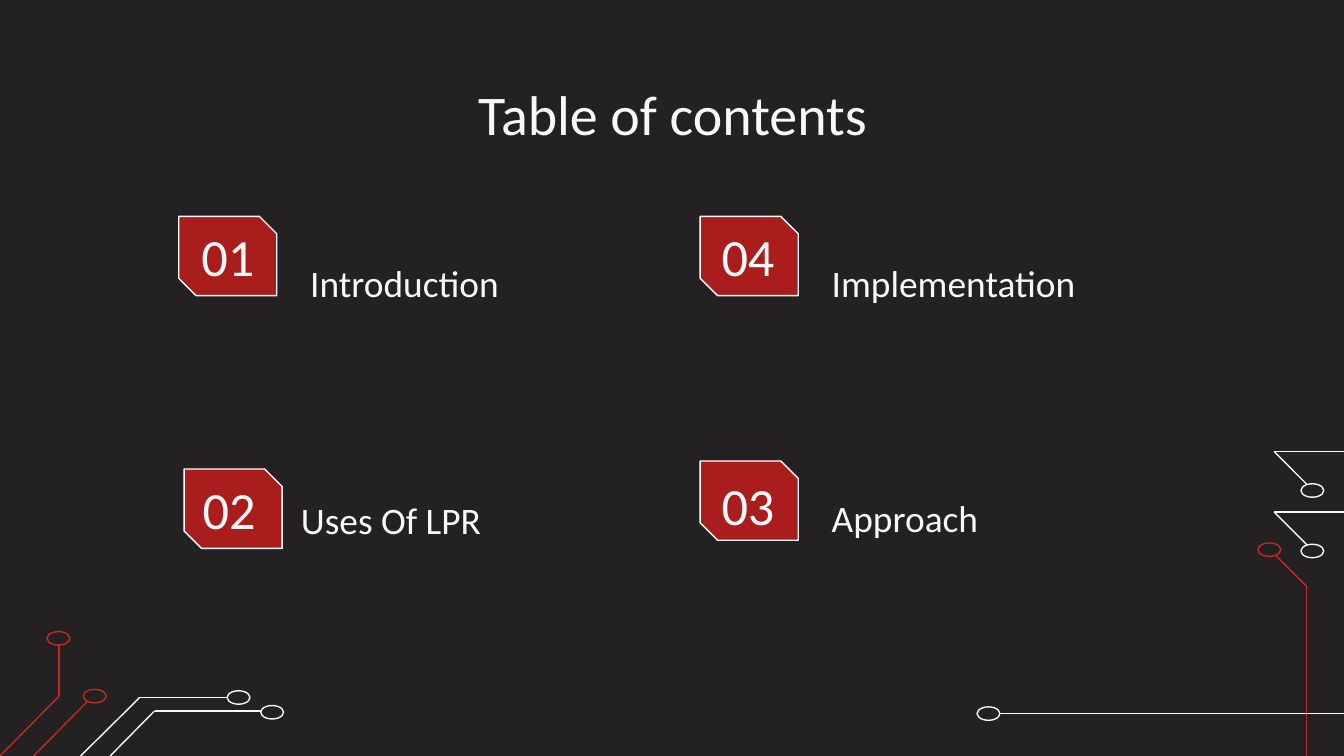
from typing import NamedTuple

from lxml.etree import SubElement
from pptx import Presentation
from pptx.dml.color import RGBColor
from pptx.enum.shapes import MSO_CONNECTOR, MSO_SHAPE
from pptx.enum.text import MSO_ANCHOR, MSO_AUTO_SIZE, PP_ALIGN
from pptx.oxml.ns import qn
from pptx.util import Inches, Pt

COLORS = {
    "background": "232121",
    "text": "F8F8F8",
    "badge": "AA1D1D",
    "outline": "FFFFFF",
    "white": "F8F8F8",
    "red": "C92727",
}
FONT = "Calibri"
SLIDE_W = 10
SLIDE_H = SLIDE_W * 9 / 16
NODE_W, NODE_H = 0.17, 0.1
BADGE_W, BADGE_H = 0.73, 0.59


class Trace(NamedTuple):
    """Circuit line through points, ending in a node at its top-left corner."""
    color: str
    points: list[tuple[float, float]]
    node: tuple[float, float]


class Entry(NamedTuple):
    """Contents entry: badge corner, number box and label corner."""
    number: str
    label: str
    badge: tuple[float, float]
    number_at: tuple[float, float]
    number_h: float
    label_at: tuple[float, float]


TRACES = [
    # Right edge
    Trace("red", [(9.72, SLIDE_H), (9.72, 4.36), (9.47, 4.11)], (9.36, 4.04)),
    Trace("white", [(SLIDE_W, 5.31), (7.44, 5.31)], (7.27, 5.26)),
    Trace("white", [(SLIDE_W, 3.81), (9.48, 3.81), (9.77, 4.1)], (9.68, 4.05)),
    Trace("white", [(SLIDE_W, 3.36), (9.48, 3.36), (9.77, 3.65)], (9.68, 3.6)),
    # Bottom left corner
    Trace("white", [(0.6, SLIDE_H), (1.04, 5.19), (1.69, 5.19)], (1.69, 5.14)),
    Trace("white", [(0.82, SLIDE_H), (1.15, 5.29), (1.94, 5.29)], (1.94, 5.25)),
    Trace("red", [(0.25, SLIDE_H), (0.69, 5.18)], (0.62, 5.13)),
    Trace("red", [(0, SLIDE_H), (0.44, 5.18), (0.44, 4.77)], (0.35, 4.7)),
]

ENTRIES = [
    Entry("01", "Introduction", (1.33, 1.61), (1.4, 1.67), 0.47, (2.21, 1.55)),
    Entry("02", "Uses Of LPR", (1.37, 3.49), (1.41, 3.52), 0.53, (2.14, 3.31)),
    Entry("03", "Approach", (5.21, 3.43), (5.27, 3.52), 0.47, (6.09, 3.3)),
    Entry("04", "Implementation", (5.21, 1.61), (5.27, 1.67), 0.47, (6.09, 1.55)),
]


def rgb(name: str) -> RGBColor:
    return RGBColor.from_string(COLORS[name])


def add_outlined(s, kind, x: float, y: float, w: float, h: float,
                 fill: str, line: str):
    sp = s.shapes.add_shape(kind, Inches(x), Inches(y), Inches(w), Inches(h))
    sp.shadow.inherit = False
    sp.fill.solid()
    sp.fill.fore_color.rgb = rgb(fill)
    sp.line.color.rgb = rgb(line)
    sp.line.width = Pt(0.75)
    return sp


def add_trace(s, trace: Trace) -> None:
    for (x1, y1), (x2, y2) in zip(trace.points, trace.points[1:]):
        line = s.shapes.add_connector(MSO_CONNECTOR.STRAIGHT, Inches(x1),
                                      Inches(y1), Inches(x2), Inches(y2))
        line.line.color.rgb = rgb(trace.color)
        line.line.width = Pt(0.75)
        SubElement(line._element.spPr, qn("a:effectLst"))
    add_outlined(s, MSO_SHAPE.OVAL, *trace.node, NODE_W, NODE_H,
                 "background", trace.color)


def set_text(sp, text: str, size: int, align: PP_ALIGN,
             anchor: MSO_ANCHOR, inset: float) -> None:
    tf = sp.text_frame
    tf.word_wrap = True
    tf.auto_size = MSO_AUTO_SIZE.NONE
    tf.vertical_anchor = anchor
    tf.margin_left = tf.margin_right = Inches(inset)
    tf.margin_top = tf.margin_bottom = Inches(inset)
    p = tf.paragraphs[0]
    p.alignment = align
    r = p.add_run()
    r.text = text
    r.font.name = FONT
    r.font.size = Pt(size)
    r.font.color.rgb = rgb("text")


def add_entry(s, entry: Entry) -> None:
    badge = add_outlined(s, MSO_SHAPE.SNIP_2_DIAG_RECTANGLE, *entry.badge,
                         BADGE_W, BADGE_H, "badge", "outline")
    badge.adjustments[0] = 0
    badge.adjustments[1] = 0.22

    x, y = entry.number_at
    number = s.shapes.add_textbox(Inches(x), Inches(y), Inches(0.59),
                                  Inches(entry.number_h))
    set_text(number, entry.number, 28, PP_ALIGN.CENTER, MSO_ANCHOR.MIDDLE, 0)

    x, y = entry.label_at
    label = s.shapes.add_textbox(Inches(x), Inches(y), Inches(2.69), Inches(0.82))
    set_text(label, entry.label, 20, PP_ALIGN.LEFT, MSO_ANCHOR.BOTTOM, 0.1)


def main() -> None:
    prs = Presentation()
    prs.slide_width, prs.slide_height = Inches(SLIDE_W), Inches(SLIDE_H)
    s = prs.slides.add_slide(prs.slide_layouts[5])
    s.background.fill.solid()
    s.background.fill.fore_color.rgb = rgb("background")

    # Circuit decoration
    for trace in TRACES:
        add_trace(s, trace)

    # Title
    title = s.shapes.title
    title.left, title.top = Inches(0.79), Inches(0.49)
    title.width, title.height = Inches(8.43), Inches(0.63)
    set_text(title, "Table of contents", 30, PP_ALIGN.CENTER, MSO_ANCHOR.TOP, 0.1)

    # Contents entries
    for entry in ENTRIES:
        add_entry(s, entry)

    prs.save("out.pptx")


if __name__ == "__main__":
    main()
